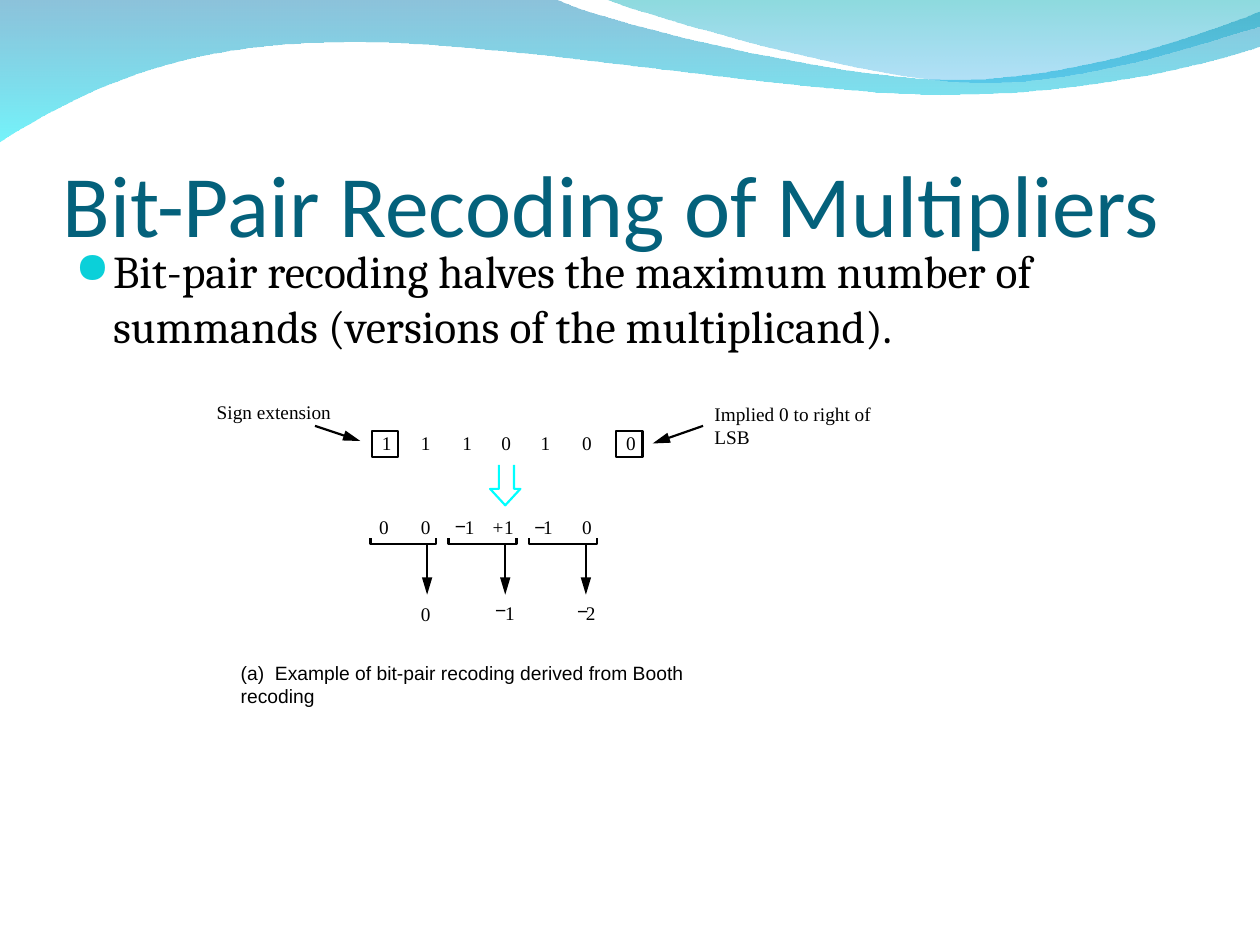
from dataclasses import dataclass

from lxml.etree import SubElement
from pptx import Presentation
from pptx.dml.color import RGBColor
from pptx.enum.shapes import MSO_CONNECTOR, MSO_SHAPE
from pptx.enum.text import MSO_ANCHOR, MSO_AUTO_SIZE
from pptx.oxml.ns import qn
from pptx.slide import Slide
from pptx.util import Inches, Pt

BLACK = RGBColor(0x00, 0x00, 0x00)
CYAN = RGBColor(0x00, 0xFF, 0xFF)
TITLE_BLUE = RGBColor(0x04, 0x61, 0x7B)
BULLET_TEAL = RGBColor(0x0B, 0xD0, 0xD9)
WAVE_BLUE = RGBColor(0x00, 0x79, 0xAF)
WAVE_AQUA = RGBColor(0x00, 0xEB, 0xF8)
WAVE_TEAL = RGBColor(0x00, 0xAD, 0xB6)
WAVE_SKY = RGBColor(0x00, 0x9B, 0xE5)

SERIF = "Times New Roman"
SANS = "Arial"


def curve(start, control1, control2, end, steps=24):
    """Points along a cubic Bezier curve, without its start."""
    points = []
    for step in range(1, steps + 1):
        t = step / steps
        weights = ((1 - t) ** 3, 3 * t * (1 - t) ** 2, 3 * t * t * (1 - t), t ** 3)
        corners = (start, control1, control2, end)
        points.append(tuple(sum(w * corner[axis] for w, corner in zip(weights, corners))
                            for axis in (0, 1)))
    return points


def outline(*parts):
    """Join points and (control, control, end) curves into one list of points."""
    points = [parts[0]]
    for part in parts[1:]:
        points += curve(points[-1], *part) if len(part) == 3 else [part]
    return points


@dataclass
class Canvas:
    slide: Slide
    label_size: float = 11
    line_width: float = 1.25

    def text(self, text, left, top, width, height, font, size, color=BLACK):
        box = self.slide.shapes.add_textbox(Inches(left), Inches(top), Inches(width), Inches(height))
        frame = box.text_frame
        frame.word_wrap = True
        paragraph = frame.paragraphs[0]
        paragraph.text = text
        paragraph.font.name = font
        paragraph.font.size = Pt(size)
        paragraph.font.color.rgb = color
        return frame

    def title(self, text):
        frame = self.text(text, 0.5, 0.77, 9, 1.25, "Calibri", 50, TITLE_BLUE)
        frame.vertical_anchor = MSO_ANCHOR.BOTTOM
        frame.margin_left = frame.margin_right = frame.margin_bottom = 0

    def bullet(self, text):
        frame = self.text("", 0.5, 1.88, 9, 1.29, "Cambria", 26)
        paragraph = frame.paragraphs[0]
        paragraph.text = text
        properties = paragraph._p.get_or_add_pPr()
        properties.set("marL", str(Inches(0.3)))
        properties.set("indent", str(Inches(-0.3)))
        font_defaults = properties[-1]
        bullet_color = SubElement(properties, qn("a:buClr"))
        SubElement(bullet_color, qn("a:srgbClr"), val=str(BULLET_TEAL))
        SubElement(properties, qn("a:buSzPct"), val="95000")
        SubElement(properties, qn("a:buChar"), char="●")
        properties.append(font_defaults)

    def label(self, text, left, top, width=0.08, font=SERIF):
        frame = self.text(text, left, top, width, 0.18, font, self.label_size)
        frame.margin_left = frame.margin_top = frame.margin_right = frame.margin_bottom = 0
        frame.word_wrap = False
        frame.auto_size = MSO_AUTO_SIZE.SHAPE_TO_FIT_TEXT

    def minus(self, left, top):
        self.label("−", left, top, 0.09, SANS)

    def stroke(self, shape, color=BLACK):
        shape.line.color.rgb = color
        shape.line.width = Pt(self.line_width)

    def polygon(self, points, close):
        points = [(Inches(x), Inches(y)) for x, y in points]
        builder = self.slide.shapes.build_freeform(*points[0])
        builder.add_line_segments(points[1:], close=close)
        shape = builder.convert_to_shape()
        shape.shadow.inherit = False
        return shape

    def path_line(self, points, color=BLACK):
        shape = self.polygon(points, close=False)
        shape.fill.background()
        self.stroke(shape, color)

    def wave(self, points, stops):
        """Filled outline fading downwards through (color, opacity percent) stops."""
        shape = self.polygon(points, close=True)
        shape.line.fill.background()
        shape.fill.gradient()
        shape.fill.gradient_angle = 270
        for stop, (color, opacity) in zip(shape.fill.gradient_stops, stops):
            stop.color.rgb = color
            color_element = stop._gs.find(qn("a:srgbClr"))
            SubElement(color_element, qn("a:alpha"), val=str(opacity * 1000))

    def frame(self, left, top, side):
        shape = self.slide.shapes.add_shape(
            MSO_SHAPE.RECTANGLE, Inches(left), Inches(top), Inches(side), Inches(side))
        shape.shadow.inherit = False
        shape.fill.background()
        self.stroke(shape)

    def arrow(self, x1, y1, x2, y2):
        connector = self.slide.shapes.add_connector(
            MSO_CONNECTOR.STRAIGHT, Inches(x1), Inches(y1), Inches(x2), Inches(y2))
        self.stroke(connector)
        SubElement(connector.line._get_or_add_ln(), qn("a:tailEnd"),
                   type="triangle", w="med", len="lg")
        SubElement(connector._element.spPr, qn("a:effectLst"))


def draw_waves(canvas):
    canvas.wave(
        outline((0, -0.01), (4.4, -0.01),
                ((4.76, 0.17), (6.64, 0.63), (7.58, 0.63)),
                ((8.53, 0.63), (9.58, 0.26), (10, 0.09)),
                (10.01, 0.36),
                ((9.83, 0.44), (8.7, 0.76), (7.46, 0.75)),
                ((6.22, 0.75), (3.82, 0.28), (2.57, 0.34)),
                ((1.29, 0.35), (0.46, 0.83), (-0.01, 1.13))),
        [(WAVE_BLUE, 45), (WAVE_AQUA, 55)])
    canvas.wave(
        outline((4.79, -0.01),
                ((5.09, 0.11), (6.82, 0.62), (7.69, 0.65)),
                ((8.56, 0.69), (9.61, 0.32), (10, 0.21)),
                (10, 0)),
        [(WAVE_TEAL, 45), (WAVE_SKY, 30)])


def draw_multiplier_bits(canvas):
    for bit, left in zip("1110100", (3.03, 3.34, 3.67, 3.98, 4.29, 4.62, 4.97)):
        canvas.label(bit, left, 3.42)
    for left in (2.95, 4.89):
        canvas.frame(left, 3.42, 0.21)
    canvas.label("Sign extension", 1.72, 3.18, 0.91)
    canvas.arrow(2.5, 3.38, 2.86, 3.5)
    canvas.label("Implied 0 to right of LSB", 5.67, 3.19, 1.56)
    canvas.arrow(5.58, 3.38, 5.18, 3.52)
    canvas.path_line([(4.08, 3.69), (4.08, 3.88), (4.13, 3.88), (4.01, 4.01),
                      (3.89, 3.88), (3.96, 3.88), (3.96, 3.69)], CYAN)


def draw_recoded_pairs(canvas):
    for digit, left in zip("001110", (3.01, 3.34, 3.69, 4.0, 4.31, 4.62)):
        canvas.label(digit, left, 4.09)
    canvas.minus(3.61, 4.08)
    canvas.label("+", 3.91, 4.09, 0.09)
    canvas.minus(4.24, 4.09)

    for left, right, arrow_x in ((2.94, 3.46, 3.39), (3.56, 4.1, 4.01), (4.2, 4.74, 4.65)):
        canvas.path_line([(right, 4.27), (right, 4.32), (left, 4.32), (left, 4.27)])
        canvas.arrow(arrow_x, 4.32, arrow_x, 4.72)

    for digit, left, top in (("0", 3.34, 4.78), ("1", 4.01, 4.77), ("2", 4.65, 4.77)):
        canvas.label(digit, left, top)
    canvas.minus(3.93, 4.75)
    canvas.minus(4.58, 4.76)
    canvas.label("(a)  Example of bit-pair recoding derived from Booth recoding",
                 1.91, 5.25, 4.15, SANS)


def main():
    presentation = Presentation()
    presentation.slide_width, presentation.slide_height = Inches(10), Inches(7.5)
    canvas = Canvas(presentation.slides.add_slide(presentation.slide_layouts[6]))
    draw_waves(canvas)
    canvas.title("Bit-Pair Recoding of Multipliers")
    canvas.bullet("Bit-pair recoding halves the maximum number of "
                  "summands (versions of the multiplicand).")
    draw_multiplier_bits(canvas)
    draw_recoded_pairs(canvas)
    presentation.save("out.pptx")


if __name__ == "__main__":
    main()
